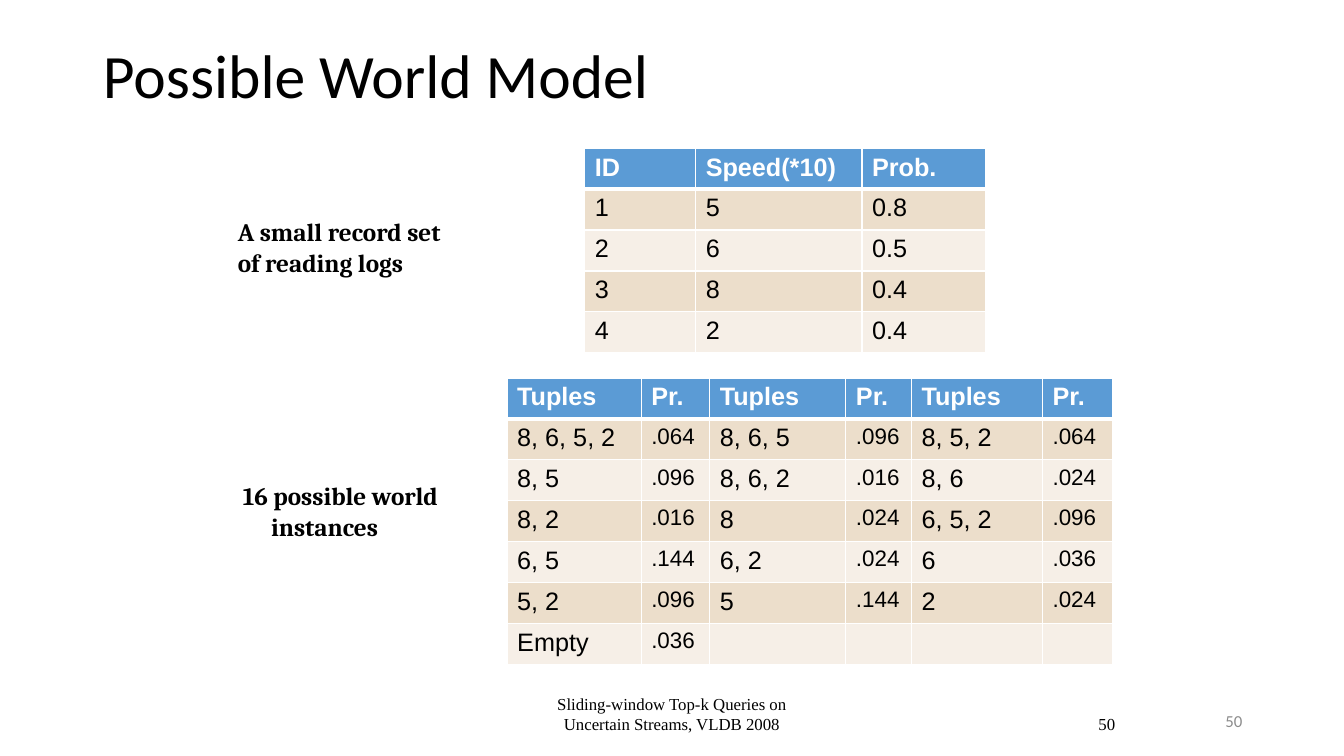
from lxml.etree import SubElement
from pptx import Presentation
from pptx.dml.color import RGBColor
from pptx.enum.text import MSO_ANCHOR, MSO_AUTO_SIZE, PP_ALIGN
from pptx.oxml.ns import qn
from pptx.util import Inches, Pt

COLORS = {
    "text": "000000",
    "white": "FFFFFF",
    "header": "5B9BD5",
    "band_dark": "ECDECB",
    "band_light": "F6EFE7",
    "muted": "8C8C8C",
}
ROW_HEIGHT = 0.406
RECORDS = [
    ["ID", "Speed(*10)", "Prob."],
    ["1", "5", "0.8"],
    ["2", "6", "0.5"],
    ["3", "8", "0.4"],
    ["4", "2", "0.4"],
]
WORLDS = [
    ["Tuples", "Pr."] * 3,
    ["8, 6, 5, 2", ".064", "8, 6, 5", ".096", "8, 5, 2", ".064"],
    ["8, 5", ".096", "8, 6, 2", ".016", "8, 6", ".024"],
    ["8, 2", ".016", "8", ".024", "6, 5, 2", ".096"],
    ["6, 5", ".144", "6, 2", ".024", "6", ".036"],
    ["5, 2", ".096", "5", ".144", "2", ".024"],
    ["Empty", ".036", "", "", "", ""],
]


class SlideBuilder:
    """Holds the style and the current slide, and adds elements to it."""

    def __init__(self, slide, colors):
        self.slide = slide
        self.colors = colors

    def color(self, name):
        """Return the named colour."""
        return RGBColor.from_string(self.colors[name])

    def format_runs(self, paragraph, font, size, color="text", bold=False):
        """Style every run of a paragraph."""
        for run in paragraph.runs:
            run.font.name = font
            run.font.size = Pt(size)
            run.font.bold = bold
            run.font.color.rgb = self.color(color)

    def place(self, shape, box):
        """Move and size a shape."""
        shape.left, shape.top, shape.width, shape.height = map(Inches, box)

    def title(self, text, box):
        """Fill and format the title placeholder."""
        shape = self.slide.shapes.title
        self.place(shape, box)
        frame = shape.text_frame
        frame.text = text
        frame.auto_size = MSO_AUTO_SIZE.NONE
        frame.vertical_anchor = MSO_ANCHOR.TOP
        paragraph = frame.paragraphs[0]
        paragraph.alignment = PP_ALIGN.LEFT
        paragraph.line_spacing = 0.9
        self.format_runs(paragraph, "Calibri", 44)

    def text(self, text, box, font, size, align=PP_ALIGN.LEFT, anchor=MSO_ANCHOR.TOP,
             color="text", bold=False, wrap=True):
        """Add a text box and return its text frame."""
        frame = self.slide.shapes.add_textbox(*map(Inches, box)).text_frame
        frame.text = text
        frame.word_wrap = wrap
        frame.vertical_anchor = anchor
        for paragraph in frame.paragraphs:
            paragraph.alignment = align
            self.format_runs(paragraph, font, size, color, bold)
        return frame

    def label(self, text, box, indent=0):
        """Add a bold table label whose last line may be indented."""
        frame = self.text(text, box, "Cambria", 18, bold=True, wrap=False)
        if indent:
            properties = frame.paragraphs[-1]._p.get_or_add_pPr()
            properties.set("marL", str(Inches(indent)))

    def borders(self, cell, top, bottom):
        """Draw white cell borders with the given top and bottom widths."""
        properties = cell._tc.get_or_add_tcPr()
        for tag, width in (("lnL", 1), ("lnR", 1), ("lnT", top), ("lnB", bottom)):
            line = SubElement(properties, qn(f"a:{tag}"), w=str(Pt(width)))
            fill = SubElement(line, qn("a:solidFill"))
            SubElement(fill, qn("a:srgbClr"), val=self.colors["white"])

    def table(self, rows, left, top, widths, small_columns=()):
        """Add a banded table with a header row."""
        box = left, top, sum(widths), ROW_HEIGHT * len(rows)
        table = self.slide.shapes.add_table(len(rows), len(widths), *map(Inches, box)).table
        table.horz_banding = False
        for column, width in zip(table.columns, widths):
            column.width = Inches(width)
        for row_index, row in enumerate(rows):
            table.rows[row_index].height = Inches(ROW_HEIGHT)
            header = row_index == 0
            band = "header" if header else "band_dark" if row_index % 2 else "band_light"
            for column_index, value in enumerate(row):
                cell = table.cell(row_index, column_index)
                cell.text = value
                self.borders(cell, 3 if row_index == 1 else 1, 3 if header else 1)
                cell.fill.solid()
                cell.fill.fore_color.rgb = self.color(band)
                size = 16 if column_index in small_columns and not header else 18
                self.format_runs(cell.text_frame.paragraphs[0], "Arial", size,
                                 "white" if header else "text", header)


def main():
    """Build and save the slide."""
    presentation = Presentation()
    presentation.slide_width = Inches(13.33)
    presentation.slide_height = Inches(7.5)
    slide = presentation.slides.add_slide(presentation.slide_layouts[5])
    builder = SlideBuilder(slide, COLORS)

    builder.title("Possible World Model", (0.92, 0.4, 11.5, 1.45))
    builder.label("A small record set\nof reading logs", (2.26, 2.1, 2.25, 0.71))
    builder.label("16 possible world\ninstances", (2.31, 4.72, 2.28, 0.71), indent=0.28)
    builder.table(WORLDS, 5.03, 3.75, [1.33, 0.68, 1.35, 0.65, 1.3, 0.7], (1, 3, 5))
    builder.table(RECORDS, 5.8, 1.47, [1.1, 1.65, 1.23])
    builder.text("Sliding-window Top-k Queries on Uncertain Streams, VLDB 2008",
                 (5.08, 6.83, 3.17, 0.5), "Times New Roman", 12,
                 PP_ALIGN.CENTER, MSO_ANCHOR.BOTTOM)
    builder.text("50", (8.83, 6.83, 2.33, 0.5), "Times New Roman", 12,
                 PP_ALIGN.RIGHT, MSO_ANCHOR.BOTTOM)
    builder.text("50", (9.42, 6.95, 3, 0.4), "Calibri", 12,
                 PP_ALIGN.RIGHT, MSO_ANCHOR.MIDDLE, "muted")
    presentation.save("out.pptx")


if __name__ == "__main__":
    main()
